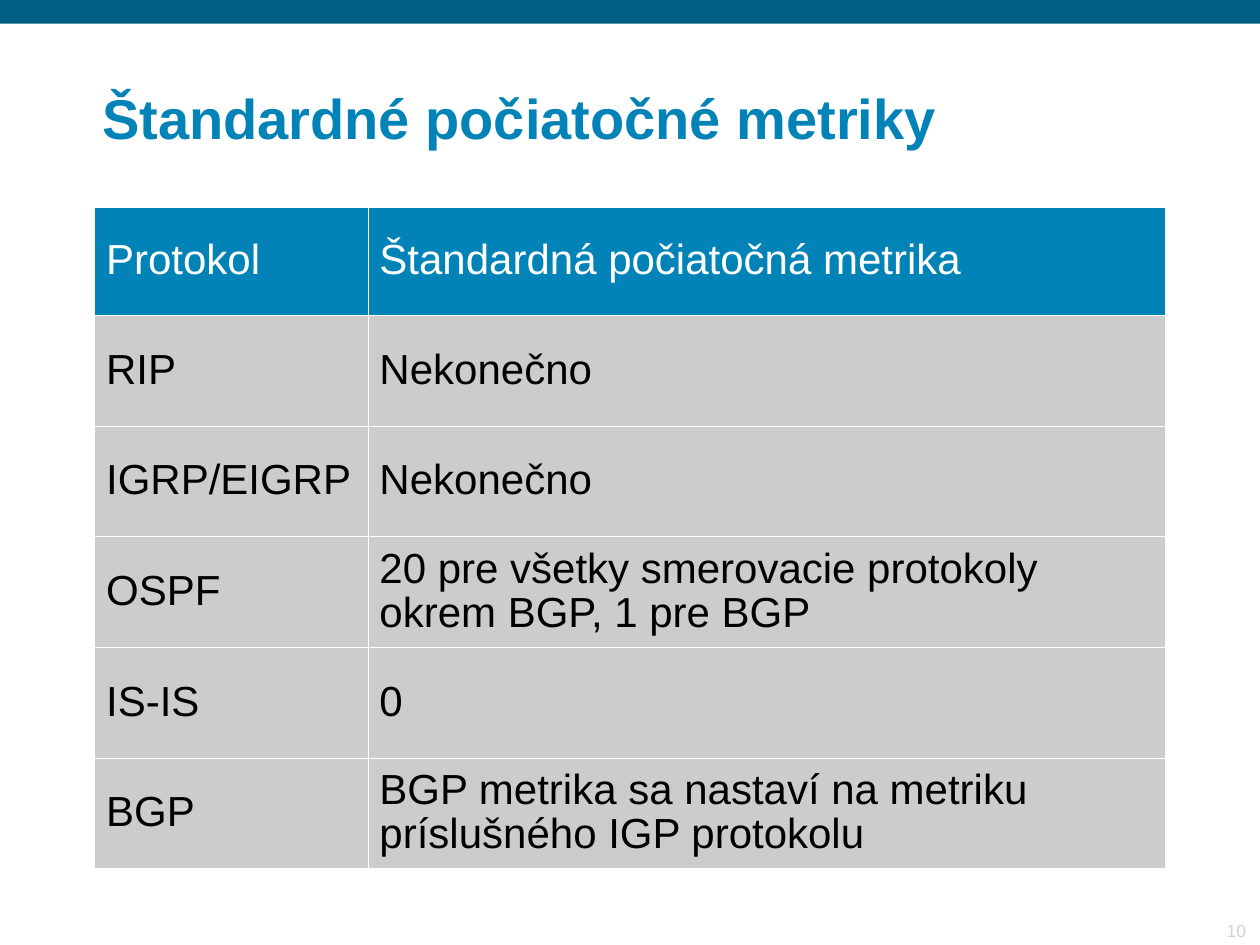
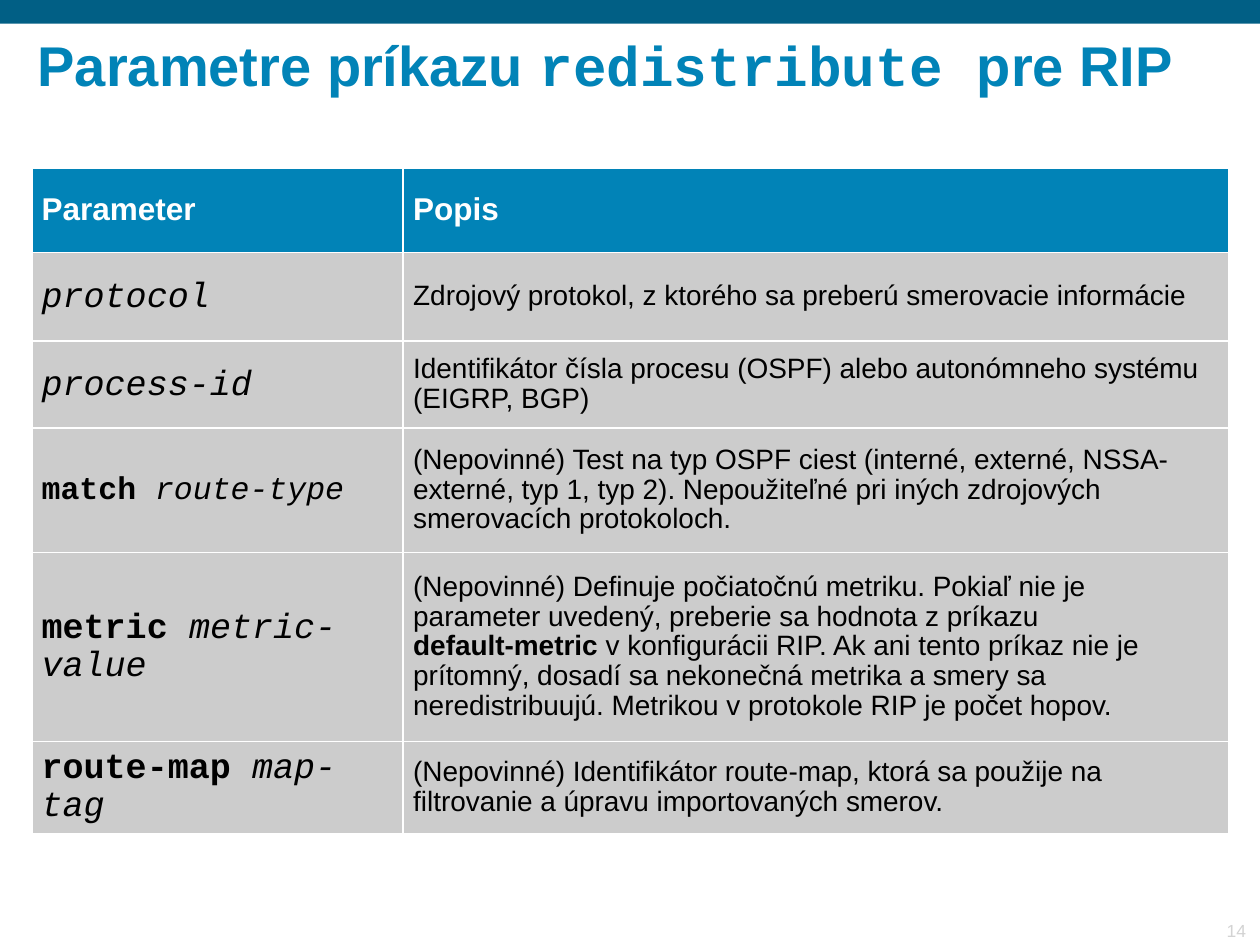
from dataclasses import dataclass

from lxml import etree
from pptx import Presentation
from pptx.dml.color import RGBColor
from pptx.enum.shapes import MSO_SHAPE
from pptx.enum.text import MSO_ANCHOR, PP_ALIGN
from pptx.oxml.ns import qn
from pptx.util import Cm, Pt

RECTANGLE = MSO_SHAPE.RECTANGLE
MIDDLE, BOTTOM = MSO_ANCHOR.MIDDLE, MSO_ANCHOR.BOTTOM
LEFT, RIGHT = PP_ALIGN.LEFT, PP_ALIGN.RIGHT

WHITE = RGBColor(0xFF, 0xFF, 0xFF)
BLACK = RGBColor(0x00, 0x00, 0x00)
BLUE = RGBColor(0x01, 0x83, 0xB7)
DARK_BLUE = RGBColor(0x01, 0x5F, 0x85)
CELL_GREY = RGBColor(0xCC, 0xCC, 0xCC)
NUMBER_GREY = RGBColor(0xD3, 0xD3, 0xD3)

SANS, MONO = "Arial", "Courier New"
BLANK_LAYOUT = 6
PAGE_WIDTH, PAGE_HEIGHT = Cm(25.4), Cm(19.05)
TITLE_SIZE, NUMBER_SIZE = 32, 10


@dataclass
class Span:
    text: str
    size: float
    font: str = SANS
    bold: bool = False
    italic: bool = False
    line_break: bool = False


def write_spans(para, spans, color, spacing=None):
    if spacing:
        para.line_spacing = spacing
    for span in spans:
        run = para.add_run()
        run.text = span.text
        run.font.name = span.font
        run.font.size = Pt(span.size)
        run.font.bold = span.bold
        run.font.italic = span.italic
        run.font.color.rgb = color
        if span.line_break:
            para.add_line_break()


def add_text(page, area, spans, color, anchor=MIDDLE, align=LEFT, spacing=None):
    box = page.shapes.add_textbox(*map(Cm, area))
    frame = box.text_frame
    frame.word_wrap = True
    frame.vertical_anchor = anchor
    frame.margin_left = frame.margin_right = Cm(0.23)
    frame.margin_top = frame.margin_bottom = Cm(0.11)
    para = frame.paragraphs[0]
    para.alignment = align
    write_spans(para, spans, color, spacing)


def add_page(deck, number, title, title_area):
    page = deck.slides.add_slide(deck.slide_layouts[BLANK_LAYOUT])
    page.background.fill.solid()
    page.background.fill.fore_color.rgb = WHITE
    band = page.shapes.add_shape(RECTANGLE, 0, 0, PAGE_WIDTH, Cm(0.48))
    band.shadow.inherit = False
    band.fill.solid()
    band.fill.fore_color.rgb = DARK_BLUE
    band.line.fill.background()
    add_text(page, (23.29, 18.42, 2.06, 0.66), [Span(str(number), NUMBER_SIZE)],
             NUMBER_GREY, BOTTOM, RIGHT)
    add_text(page, title_area, title, BLUE, spacing=0.9)
    return page


def set_borders(cell, points):
    properties = cell._tc.get_or_add_tcPr()
    for index, side in enumerate(("lnL", "lnR", "lnT", "lnB")):
        line = etree.Element(qn(f"a:{side}"), w=str(Pt(points)))
        fill = etree.SubElement(line, qn("a:solidFill"))
        etree.SubElement(fill, qn("a:srgbClr"), val=str(WHITE))
        properties.insert(index, line)


def fill_cell(cell, spans, is_header, margin, border):
    cell.fill.solid()
    cell.fill.fore_color.rgb = BLUE if is_header else CELL_GREY
    cell.vertical_anchor = MIDDLE
    cell.margin_left = cell.margin_right = Cm(margin)
    cell.margin_top = cell.margin_bottom = Cm(0.12)
    write_spans(cell.text_frame.paragraphs[0], spans,
                WHITE if is_header else BLACK, 0.95)
    set_borders(cell, border)


def add_grid(page, left, top, widths, heights, rows, margin, border):
    frame = page.shapes.add_table(len(rows), len(widths), Cm(left), Cm(top),
                                  Cm(sum(widths)), Cm(sum(heights)))
    table = frame.table
    table.horz_banding = False
    for column, width in zip(table.columns, widths):
        column.width = Cm(width)
    for index, (row, height, contents) in enumerate(zip(table.rows, heights, rows)):
        row.height = Cm(height)
        for cell, spans in zip(row.cells, contents):
            fill_cell(cell, spans, index == 0, margin, border)


def keyword(text, size=20):
    return Span(text, size, MONO, bold=True)


def argument(text, size=20):
    return Span(text, size, MONO, italic=True)


def description(text, **style):
    return Span(text, 16, **style)


def add_metrics_page(deck):
    page = add_page(deck, 10, [Span("Štandardné počiatočné metriky", TITLE_SIZE, bold=True)],
                    (1.83, 1.27, 22.63, 2.34))
    metrics = [
        ("Protokol", "Štandardná počiatočná metrika"),
        ("RIP", "Nekonečno"),
        ("IGRP/EIGRP", "Nekonečno"),
        ("OSPF", "20 pre všetky smerovacie protokoly okrem BGP, 1 pre BGP"),
        ("IS-IS", "0"),
        ("BGP", "BGP metrika sa nastaví na metriku príslušného IGP protokolu"),
    ]
    rows = [[[Span(text, 24)] for text in texts] for texts in metrics]
    add_grid(page, 1.91, 4.18, (5.51, 16.08), [2.18] + [2.23] * 5, rows, 0.23, 0.45)


def add_parameters_page(deck):
    title = [
        Span("Parametre príkazu ", TITLE_SIZE, bold=True),
        keyword("redistribute ", TITLE_SIZE),
        Span("pre RIP", TITLE_SIZE, bold=True),
    ]
    page = add_page(deck, 14, title, (0.53, 0.2, 24.46, 2.34))
    rows = [
        ([Span("Parameter", 18, bold=True)], [Span("Popis", 18, bold=True)]),
        ([argument("protocol")],
         [description("Zdrojový protokol, z ktorého sa preberú smerovacie informácie")]),
        ([argument("process-id")],
         [description("Identifikátor čísla procesu (OSPF) alebo autonómneho systému "
                      "(EIGRP, BGP)")]),
        ([keyword("match", 18), argument(" route-type", 18)],
         [description("(Nepovinné) Test na typ OSPF ciest (interné, externé, NSSA-externé, "
                      "typ 1, typ 2). Nepoužiteľné pri iných zdrojových smerovacích "
                      "protokoloch.")]),
        ([keyword("metric "), argument("metric-value")],
         [description("(Nepovinné) Definuje počiatočnú metriku. Pokiaľ nie je parameter "
                      "uvedený, preberie sa hodnota z príkazu", line_break=True),
          description("default-metric ", bold=True),
          description("v konfigurácii RIP. Ak ani tento príkaz nie je prítomný, dosadí sa "
                      "nekonečná metrika a smery sa neredistribuujú. Metrikou v protokole "
                      "RIP je počet hopov.")]),
        ([keyword("route-map "), argument("map-tag")],
         [description("(Nepovinné) Identifikátor route-map, ktorá sa použije na filtrovanie "
                      "a úpravu importovaných smerov.")]),
    ]
    add_grid(page, 0.64, 3.38, (7.49, 16.64), (1.71, 1.79, 1.75, 2.51, 3.81, 1.8),
             rows, 0.2, 1.08)


def main():
    deck = Presentation()
    deck.slide_width, deck.slide_height = PAGE_WIDTH, PAGE_HEIGHT
    add_metrics_page(deck)
    add_parameters_page(deck)
    deck.save("out.pptx")


if __name__ == "__main__":
    main()
